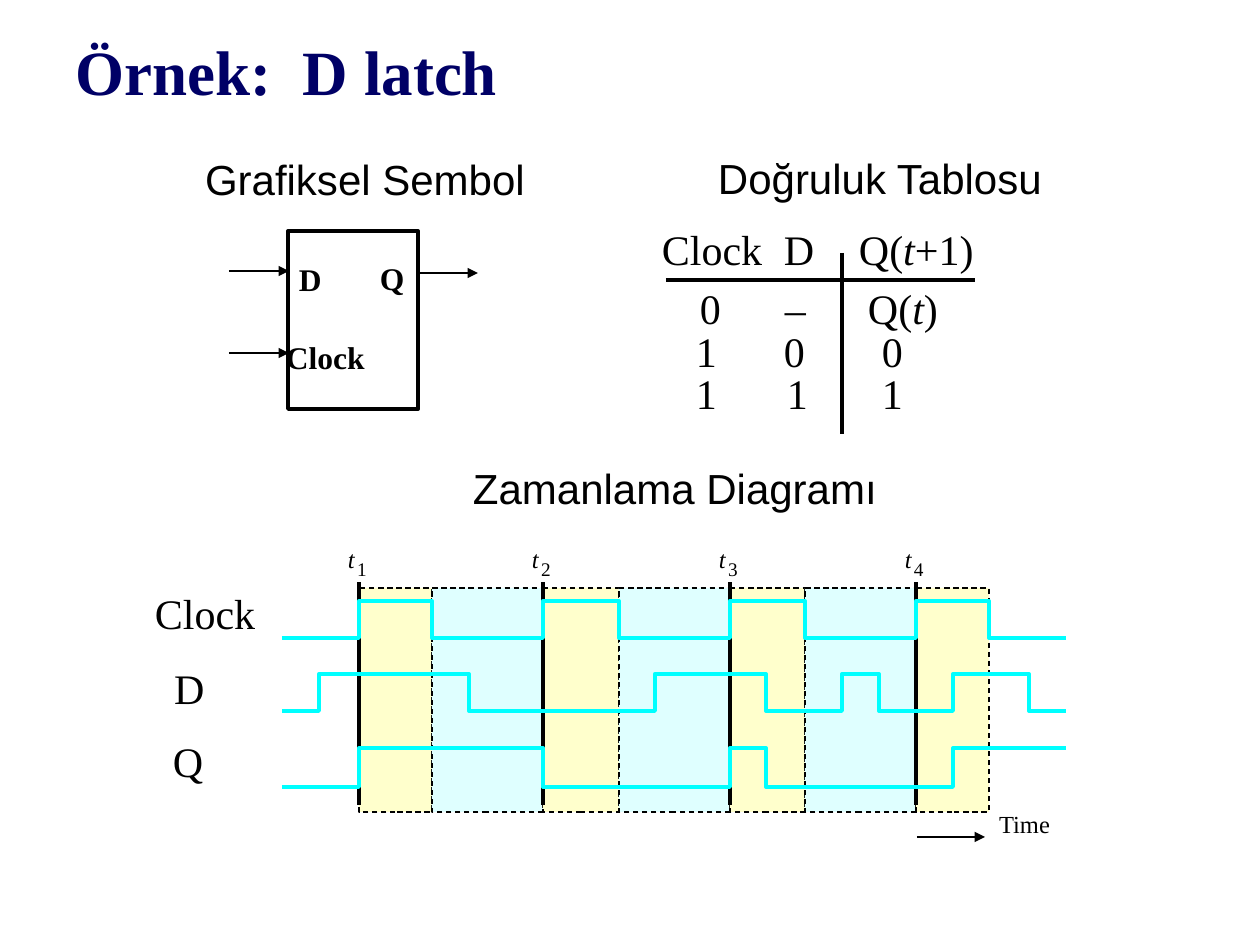
"""Build the D latch slide: symbol, truth table and timing diagram."""
import itertools
from typing import NamedTuple

import pptx
import pptx.dml.color
import pptx.enum.dml
import pptx.enum.shapes
import pptx.enum.text
import pptx.oxml.ns
import pptx.util
from lxml import etree

EMU_PER_PX = 914400 / 126
SERIF, SANS = "Times New Roman", "Arial"
BLACK, WHITE, NAVY, CYAN = "000000", "FFFFFF", "000066", "00FFFF"
ACTIVE, IDLE = "FFFFCC", "DFFFFF"


class Label(NamedTuple):
    text: str
    x: int
    y: int
    width: int
    height: int = 50


class Signal(NamedTuple):
    label: Label
    high: int
    low: int
    toggles: list[int]


class Entry(NamedTuple):
    text: str
    indent: int


class Arrow(NamedTuple):
    start: int
    end: int
    y: int


HEADINGS = [
    Label("Doğruluk Tablosu", 718, 153, 329),
    Label("Grafiksel Sembol", 205, 154, 320),
    Label("Zamanlama Diagramı", 473, 463, 404),
]
PIN_NAMES = [
    Label("D", 299, 260, 32, 38),
    Label("Q", 380, 259, 33, 38),
    Label("Clock", 286, 338, 93, 38),
]
PIN_ARROWS = [Arrow(229, 289, 271), Arrow(229, 289, 353), Arrow(418, 478, 273)]
TRUTH_TABLE = [
    [Entry("Clock", 1), Entry("D", 14), Entry("Q(|t|+1)", 17)],
    [Entry("0", 39), Entry("–", 15), Entry("Q(|t|)", 26)],
    [Entry("1", 35), Entry("0", 14), Entry("0", 40)],
    [Entry("1", 35), Entry("1", 17), Entry("1", 40)],
]
TRUTH_COLUMNS = [109, 72, 133]
TRUTH_ROWS = [59, 42, 42, 42]
CLOCK = Signal(Label("Clock", 155, 588, 116), 601, 638,
               [359, 432, 543, 619, 730, 805, 916, 989])
SIGNALS = [
    CLOCK,
    Signal(Label("D", 174, 663, 42), 674, 711,
           [319, 469, 655, 766, 842, 879, 953, 1029]),
    Signal(Label("Q", 173, 736, 44), 748, 787, [359, 543, 730, 766, 953]),
]
WAVE_START, WAVE_END = 282, 1066


def px(length: int) -> int:
    """Turn px into EMU."""
    return round(length * EMU_PER_PX)


def colour(value: str) -> pptx.dml.color.RGBColor:
    """Turn a hex string into a colour."""
    return pptx.dml.color.RGBColor.from_string(value)


def write(frame, text: str, *, size: float = 24, font: str = SERIF,
          color: str = BLACK, bold: bool = False) -> None:
    """Write one left-aligned paragraph; parts between bars are italic."""
    paragraph = frame.paragraphs[0]
    paragraph.alignment = pptx.enum.text.PP_ALIGN.LEFT
    for index, part in enumerate(text.split("|")):
        if part:
            run = paragraph.add_run()
            run.text = part
            run.font.size = pptx.util.Pt(size)
            run.font.name = font
            run.font.bold = bold
            run.font.italic = index % 2 == 1
            run.font.color.rgb = colour(color)


def add_label(shapes, label: Label, **text_format) -> None:
    """Add a text box without insets."""
    box = shapes.add_textbox(*map(px, label[1:]))
    frame = box.text_frame
    frame.margin_left = frame.margin_right = 0
    frame.margin_top = frame.margin_bottom = 0
    frame.word_wrap = False
    write(frame, label.text, **text_format)


def add_box(shapes, x: int, y: int, width: int, height: int, *, fill: str,
            weight: float = 0.75, dashed: bool = False) -> None:
    """Add a filled rectangle with a black outline."""
    box = shapes.add_shape(pptx.enum.shapes.MSO_SHAPE.RECTANGLE,
                           *map(px, (x, y, width, height)))
    box.shadow.inherit = False
    box.fill.solid()
    box.fill.fore_color.rgb = colour(fill)
    box.line.color.rgb = colour(BLACK)
    box.line.width = pptx.util.Pt(weight)
    if dashed:
        box.line.dash_style = pptx.enum.dml.MSO_LINE.DASH


def add_line(shapes, x1: int, y1: int, x2: int, y2: int, *,
             weight: float = 2.25, arrow: bool = False) -> None:
    """Add a straight black line, with an arrowhead at its end if asked."""
    line = shapes.add_connector(pptx.enum.shapes.MSO_CONNECTOR.STRAIGHT,
                                *map(px, (x1, y1, x2, y2)))
    line.line.color.rgb = colour(BLACK)
    line.line.width = pptx.util.Pt(weight)
    if arrow:
        etree.SubElement(line.line._get_or_add_ln(),
                         pptx.oxml.ns.qn("a:tailEnd"), type="triangle")
    etree.SubElement(line._element.spPr, pptx.oxml.ns.qn("a:effectLst"))


def add_wave(shapes, signal: Signal) -> None:
    """Draw a square wave that starts low and flips at each toggle."""
    level, other = signal.low, signal.high
    builder = shapes.build_freeform(WAVE_START, level, scale=EMU_PER_PX)
    points = []
    for x in signal.toggles:
        points += [(x, level), (x, other)]
        level, other = other, level
    builder.add_line_segments(points + [(WAVE_END, level)], close=False)
    wave = builder.convert_to_shape()
    wave.shadow.inherit = False
    wave.fill.background()
    wave.line.color.rgb = colour(CYAN)
    wave.line.width = pptx.util.Pt(2.25)


def add_symbol(shapes) -> None:
    """Draw the latch with its pins as one group."""
    symbol = shapes.add_group_shape().shapes
    add_box(symbol, 288, 231, 130, 178, fill=WHITE, weight=2.25)
    for pin in PIN_NAMES:
        add_label(symbol, pin, size=18, bold=True)
    for start, end, y in PIN_ARROWS:
        add_line(symbol, start, y, end, y, weight=1.5, arrow=True)


def add_truth_table(shapes) -> None:
    """Add the truth table and its two rules."""
    table = shapes.add_table(
        len(TRUTH_ROWS), len(TRUTH_COLUMNS), px(661), px(233),
        px(sum(TRUTH_COLUMNS)), px(sum(TRUTH_ROWS))).table
    table.first_row = table.horz_banding = False
    for column, width in zip(table.columns, TRUTH_COLUMNS):
        column.width = px(width)
    for row, height, entries in zip(table.rows, TRUTH_ROWS, TRUTH_TABLE):
        row.height = px(height)
        for cell, entry in zip(row.cells, entries):
            cell.fill.background()
            cell.margin_left = px(entry.indent)
            cell.margin_right = cell.margin_top = cell.margin_bottom = 0
            cell.text_frame.paragraphs[0].line_spacing = pptx.util.Pt(24)
            write(cell.text_frame, entry.text)
    add_line(shapes, 666, 280, 975, 280)
    add_line(shapes, 842, 253, 842, 434)


def add_timing_diagram(shapes) -> None:
    """Draw the clock phases, their time marks and the signals."""
    fills = itertools.cycle([ACTIVE, IDLE])
    for (left, right), fill in zip(itertools.pairwise(CLOCK.toggles), fills):
        add_box(shapes, left, 588, right - left, 224, fill=fill, dashed=True)
    for number, x in enumerate(CLOCK.toggles[::2], start=1):
        add_line(shapes, x, 805, x, 582, weight=0)
        add_label(shapes, Label("|t", x - 11, 544, 15, 29), size=14)
        add_label(shapes, Label(str(number), x - 2, 557, 16, 23), size=11)
    for signal in SIGNALS:
        add_wave(shapes, signal)
        add_label(shapes, signal.label)
    add_line(shapes, 917, 837, 985, 837, weight=1.39, arrow=True)
    add_label(shapes, Label("Time", 999, 809, 57, 29), size=14)


def main() -> None:
    """Build and save the slide."""
    deck = pptx.Presentation()
    deck.slide_width, deck.slide_height = px(1260), px(945)
    slide = deck.slides.add_slide(deck.slide_layouts[5])
    title = slide.shapes.title
    title.left, title.top, title.width, title.height = map(px, (63, 26, 547, 88))
    title.text_frame.vertical_anchor = pptx.enum.text.MSO_ANCHOR.TOP
    title.text_frame.auto_size = pptx.enum.text.MSO_AUTO_SIZE.NONE
    write(title.text_frame, "Örnek:  D latch", size=36, color=NAVY, bold=True)
    for heading in HEADINGS:
        add_label(slide.shapes, heading, font=SANS)
    add_symbol(slide.shapes)
    add_truth_table(slide.shapes)
    add_timing_diagram(slide.shapes)
    deck.save("out.pptx")


if __name__ == "__main__":
    main()
